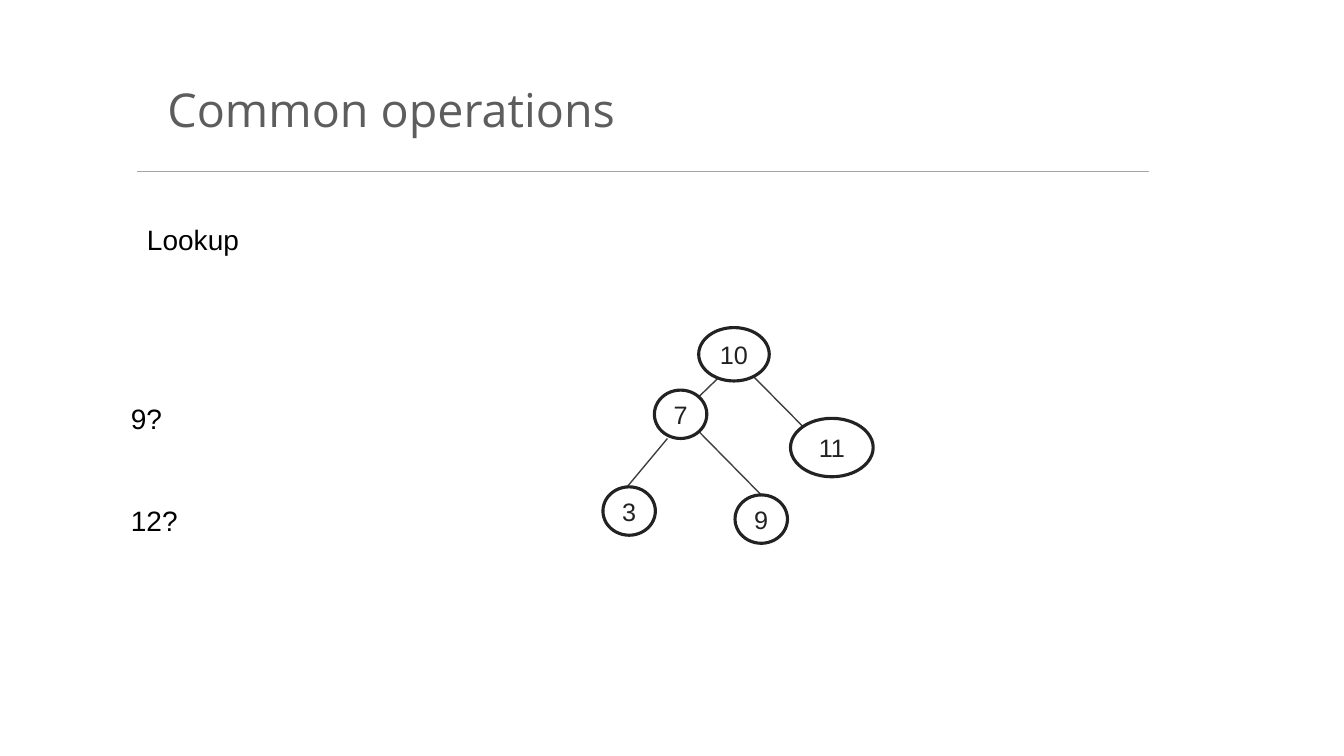
from lxml import etree
from pptx import Presentation
from pptx.dml.color import RGBColor
from pptx.enum.shapes import MSO_CONNECTOR, MSO_SHAPE
from pptx.enum.text import MSO_ANCHOR, MSO_AUTO_SIZE, PP_ALIGN
from pptx.oxml.ns import qn
from pptx.util import Inches, Pt

STRAIGHT = MSO_CONNECTOR.STRAIGHT
OVAL = MSO_SHAPE.OVAL
TOP, MIDDLE = MSO_ANCHOR.TOP, MSO_ANCHOR.MIDDLE
LEFT, CENTER = PP_ALIGN.LEFT, PP_ALIGN.CENTER
NO_AUTOFIT = MSO_AUTO_SIZE.NONE
TITLE_ONLY = 5
CELL = Inches(0.1)

COLORS = {
    "title": "5D5D5D",
    "rule": "A5A5A5",
    "text": "000000",
    "edge": "404040",
    "node": "222222",
    "node_fill": "FFFFFF",
}

NODES = [
    ("9", 75.5, 51.5, 5.2, 4.8),
    ("10", 72.8, 35.15, 7, 5.3),
    ("7", 67.5, 41.1, 5.2, 4.8),
    ("11", 82.5, 44.4, 8.2, 5.8),
    ("3", 62.4, 50.7, 5.2, 4.8),
]

EDGES = [
    (73.3, 35.5, 67.1, 41.5),
    (73.2, 35.8, 81.4, 44.1),
    (69.3, 42.8, 75.5, 49.1),
    (66.2, 43.5, 62.2, 48.3),
]


def grid(*cells):
    """Convert counts of grid cells to slide lengths."""
    return [round(count * CELL) for count in cells]


def color(name):
    """Look up a named colour."""
    return RGBColor.from_string(COLORS[name])


def write(frame, *lines, size=20, font="Arial", ink="text", align=LEFT, anchor=TOP,
          margins=(1, 0.5, 1, 0.5), wrap=True, spacing=None, gap=0):
    """Write one paragraph per line into a text frame with the given format."""
    frame.auto_size = NO_AUTOFIT
    frame.word_wrap = wrap
    frame.vertical_anchor = anchor
    (frame.margin_left, frame.margin_top,
     frame.margin_right, frame.margin_bottom) = grid(*margins)
    for index, line in enumerate(lines):
        paragraph = frame.add_paragraph() if index else frame.paragraphs[0]
        paragraph.alignment = align
        paragraph.line_spacing = spacing
        paragraph.space_before = Pt(gap if index else 0)
        run = paragraph.add_run()
        run.text = line
        run.font.size = Pt(size)
        run.font.name = font
        run.font.bold = False
        run.font.color.rgb = color(ink)


class TreeSlide:
    """Hold the current slide and draw styled elements on its grid."""

    def __init__(self, presentation):
        """Add a title-only slide."""
        layout = presentation.slide_layouts[TITLE_ONLY]
        self.slide = presentation.slides.add_slide(layout)
        self.shapes = self.slide.shapes

    def title(self, text, left, top, width, height):
        """Place and format the title."""
        title = self.shapes.title
        title.left, title.top, title.width, title.height = grid(left, top, width, height)
        write(title.text_frame, text, size=33.3, font="Open Sans", ink="title",
              anchor=MIDDLE, margins=(3, 0.5, 0.5, 0.5), spacing=0.8)

    def text(self, *lines, at, gap=0):
        """Add a text box."""
        box = self.shapes.add_textbox(*grid(*at))
        write(box.text_frame, *lines, gap=gap)

    def line(self, *ends, ink="edge"):
        """Add a thin straight line."""
        line = self.shapes.add_connector(STRAIGHT, *grid(*ends))
        line.line.color.rgb = color(ink)
        line.line.width = Pt(1)
        etree.SubElement(line._element.spPr, qn("a:effectLst"))

    def node(self, label, center_x, center_y, width, height):
        """Add a labelled tree node around its centre."""
        node = self.shapes.add_shape(OVAL, *grid(
            center_x - width / 2, center_y - height / 2, width, height))
        node.shadow.inherit = False
        node.fill.solid()
        node.fill.fore_color.rgb = color("node_fill")
        node.line.color.rgb = color("node")
        node.line.width = Pt(2.25)
        write(node.text_frame, label, size=18, ink="node", align=CENTER,
              anchor=MIDDLE, margins=(0, 0, 0, 0), wrap=False)


def main():
    """Build and save the slide."""
    presentation = Presentation()
    presentation.slide_width = Inches(13.33)
    presentation.slide_height = Inches(7.5)
    slide = TreeSlide(presentation)
    slide.line(13.6, 17, 114, 17, ink="rule")
    slide.title("Common operations", 13.6, 7.8, 91.7, 7.1)
    slide.text("Lookup", at=(13.6, 21.6, 91.7, 4.4))
    for edge in EDGES:
        slide.line(*edge)
    for node in NODES:
        slide.node(*node)
    slide.text("9?", "12?", at=(12, 39.3, 39.9, 14.5), gap=49)
    presentation.save("out.pptx")


if __name__ == "__main__":
    main()
